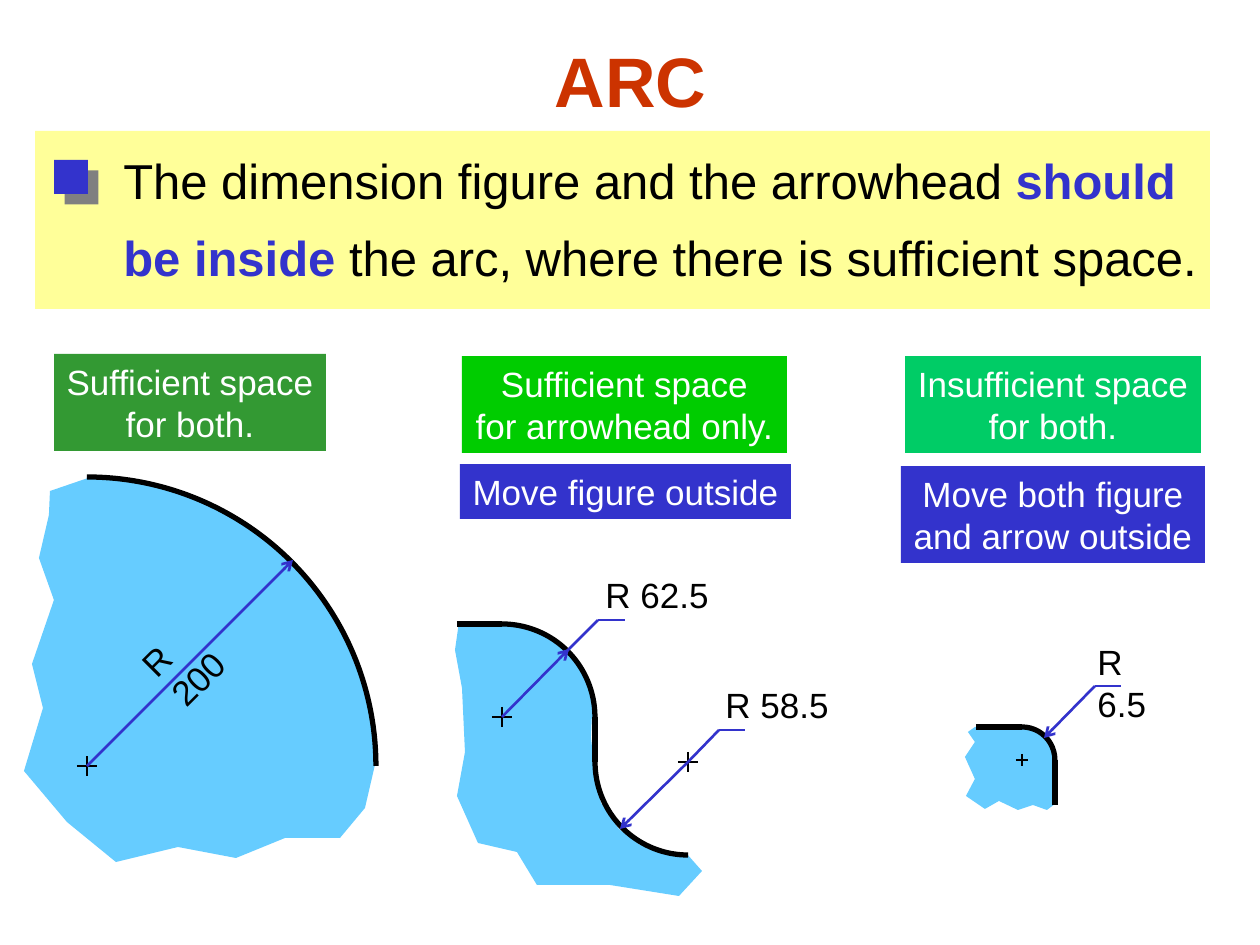
from lxml import etree
from pptx import Presentation, util as u
from pptx.dml.color import RGBColor
from pptx.enum import shapes, text
from pptx.oxml.ns import qn

PX = 914400 / 126
BLACK = RGBColor(0x00, 0x00, 0x00)
WHITE = RGBColor(0xFF, 0xFF, 0xFF)
BLUE = RGBColor(0x33, 0x33, 0xCC)
SKY = RGBColor(0x66, 0xCC, 0xFF)
YELLOW = RGBColor(0xFF, 0xFF, 0x99)
RED = RGBColor(0xCC, 0x33, 0x00)
FOREST = RGBColor(0x33, 0x99, 0x33)
GREEN = RGBColor(0x00, 0xCC, 0x00)
MINT = RGBColor(0x00, 0xCC, 0x66)


def px(*lengths):
    return [u.Emu(round(n * PX)) for n in lengths]


def draw_line(start, end, color, points, arrow=False):
    line = slide.shapes.add_connector(shapes.MSO_CONNECTOR.STRAIGHT, *px(*start, *end))
    line.line.color.rgb = color
    line.line.width = u.Pt(points)
    if arrow:
        etree.SubElement(line.line._get_or_add_ln(), qn("a:tailEnd"), type="arrow")
    etree.SubElement(line._element.spPr, qn("a:effectLst"))


prs = Presentation()
prs.slide_width, prs.slide_height = px(1260, 945)
slide = prs.slides.add_slide(prs.slide_layouts[5])

title = slide.shapes.title
title.left, title.top, title.width, title.height = px(95, 0, 1071, 158)
title.text_frame.vertical_anchor = text.MSO_ANCHOR.MIDDLE
heading = title.text_frame.paragraphs[0]
heading.text = "ARC"
heading.alignment = text.PP_ALIGN.CENTER
heading.font.name, heading.font.size, heading.font.bold = "Arial", u.Pt(40), True
heading.font.color.rgb = RED

# Rule, with its square bullet
for box, color in [((35, 131, 1175, 178), YELLOW), ((54, 160, 34, 34), BLUE)]:
    panel = slide.shapes.add_shape(shapes.MSO_SHAPE.RECTANGLE, *px(*box))
    panel.shadow.inherit = False
    panel.fill.solid()
    panel.fill.fore_color.rgb = color
    panel.line.fill.background()
bullet_shadow = etree.SubElement(
    panel._element.spPr.find(qn("a:effectLst")), qn("a:outerShdw"),
    dist=str(u.Pt(8.5)), dir="2700000", algn="ctr", rotWithShape="0")
etree.SubElement(bullet_shadow, qn("a:srgbClr"), val="808080")

rule = slide.shapes.add_textbox(*px(111, 127, 1099, 166)).text_frame
rule.word_wrap = False
rule_lines = [
    [("The dimension figure and the arrowhead ", False), ("should", True)],
    [("be inside", True), (" the arc, where there is sufficient space.", False)],
]
for i, pieces in enumerate(rule_lines):
    para = rule.add_paragraph() if i else rule.paragraphs[0]
    para.line_spacing = 1.3
    para.font.name, para.font.size = "Arial", u.Pt(28)
    for words, key in pieces:
        run = para.add_run()
        run.text = words
        run.font.bold = key
        run.font.color.rgb = BLUE if key else BLACK

# Cut-away parts
parts = [
    [(459, 622), (455, 650), (462, 688), (465, 752), (457, 796), (478, 843), (517, 852),
     (537, 885), (610, 885), (679, 896), (702, 871), (687, 854), (668, 853), (640, 845),
     (619, 829), (601, 803), (595, 776), (591, 737), (592, 714), (501, 624)],
    [(375, 765), (365, 808), (340, 838), (285, 838), (236, 858), (178, 847), (116, 862),
     (67, 822), (24, 771), (43, 708), (32, 664), (54, 600), (39, 558), (49, 515),
     (50, 491), (88, 478)],
    [(1055, 804), (1047, 810), (1033, 805), (1018, 810), (999, 801), (985, 809), (966, 796),
     (975, 779), (965, 757), (975, 742), (968, 732), (975, 727), (1021, 727), (1055, 760)],
]
for outline in parts:
    builder = slide.shapes.build_freeform(*outline[0], scale=PX)
    builder.add_line_segments(outline[1:], close=True)
    part = builder.convert_to_shape()
    part.shadow.inherit = False
    part.fill.solid()
    part.fill.fore_color.rgb = SKY
    part.line.fill.background()

# Quarter arcs (centre, radius, turn, filled) and their centre marks
arcs = [
    (87, 766, 289, 0, True, 10),
    (502, 717, 93, 0, True, 10),
    (688, 762, 93, 180, False, 10),
    (1022, 760, 33, 0, True, 6),
]
for x, y, radius, turn, filled, mark in arcs:
    arc = slide.shapes.add_shape(
        shapes.MSO_SHAPE.ARC, *px(x - radius, y - radius, 2 * radius, 2 * radius))
    arc.rotation = turn
    arc.shadow.inherit = False
    if filled:
        arc.fill.solid()
        arc.fill.fore_color.rgb = SKY
    else:
        arc.fill.background()
    arc.line.color.rgb = BLACK
    arc.line.width = u.Pt(3)
    draw_line((x, y - mark), (x, y + mark), BLACK, 0.75)
    draw_line((x - mark, y), (x + mark, y), BLACK, 0.75)

straight_edges = [
    ((457, 624), (502, 624)), ((595, 717), (595, 762)),
    ((976, 727), (1022, 727)), ((1055, 760), (1055, 805)),
]
for start, end in straight_edges:
    draw_line(start, end, BLACK, 3)

radius_arrows = [
    ((87, 766), (293, 560)), ((502, 717), (569, 649)),
    ((688, 762), (620, 829)), ((1095, 686), (1044, 738)),
]
for start, end in radius_arrows:
    draw_line(start, end, BLUE, 1.5, arrow=True)

leaders = [
    ((567, 651), (598, 620)), ((598, 620), (625, 620)),
    ((688, 762), (719, 730)), ((719, 730), (745, 730)),
    ((1095, 686), (1121, 686)),
]
for start, end in leaders:
    draw_line(start, end, BLUE, 1.5)

# Dimension figures
for figure, x, y, width, turn in [
    ("R 200", 121, 609, 118, 315), ("R 62.5", 593, 567, 129, 0),
    ("R 58.5", 713, 677, 129, 0), ("R 6.5", 1085, 634, 108, 0),
]:
    label = slide.shapes.add_textbox(*px(x, y, width, 55))
    label.rotation = turn
    label.text_frame.word_wrap = False
    para = label.text_frame.paragraphs[0]
    para.text = figure
    para.font.name, para.font.size = "Arial", u.Pt(20)
    para.font.color.rgb = BLACK

# Case captions
captions = [
    (["Sufficient space", "for both."], (54, 354, 272, 97), FOREST),
    (["Sufficient space", "for arrowhead only."], (462, 356, 325, 97), GREEN),
    (["Insufficient space", "for both."], (905, 356, 296, 97), MINT),
    (["Move figure outside"], (460, 464, 331, 55), BLUE),
    (["Move both figure", "and arrow outside"], (901, 466, 304, 97), BLUE),
]
for lines, box, color in captions:
    caption = slide.shapes.add_shape(shapes.MSO_SHAPE.RECTANGLE, *px(*box))
    caption.shadow.inherit = False
    caption.fill.solid()
    caption.fill.fore_color.rgb = color
    caption.line.fill.background()
    caption.text_frame.word_wrap = False
    caption.text_frame.vertical_anchor = text.MSO_ANCHOR.TOP
    caption.text_frame.text = "\n".join(lines)
    for para in caption.text_frame.paragraphs:
        para.alignment = text.PP_ALIGN.CENTER
        para.font.name, para.font.size = "Arial", u.Pt(20)
        para.font.color.rgb = WHITE

prs.save("out.pptx")
